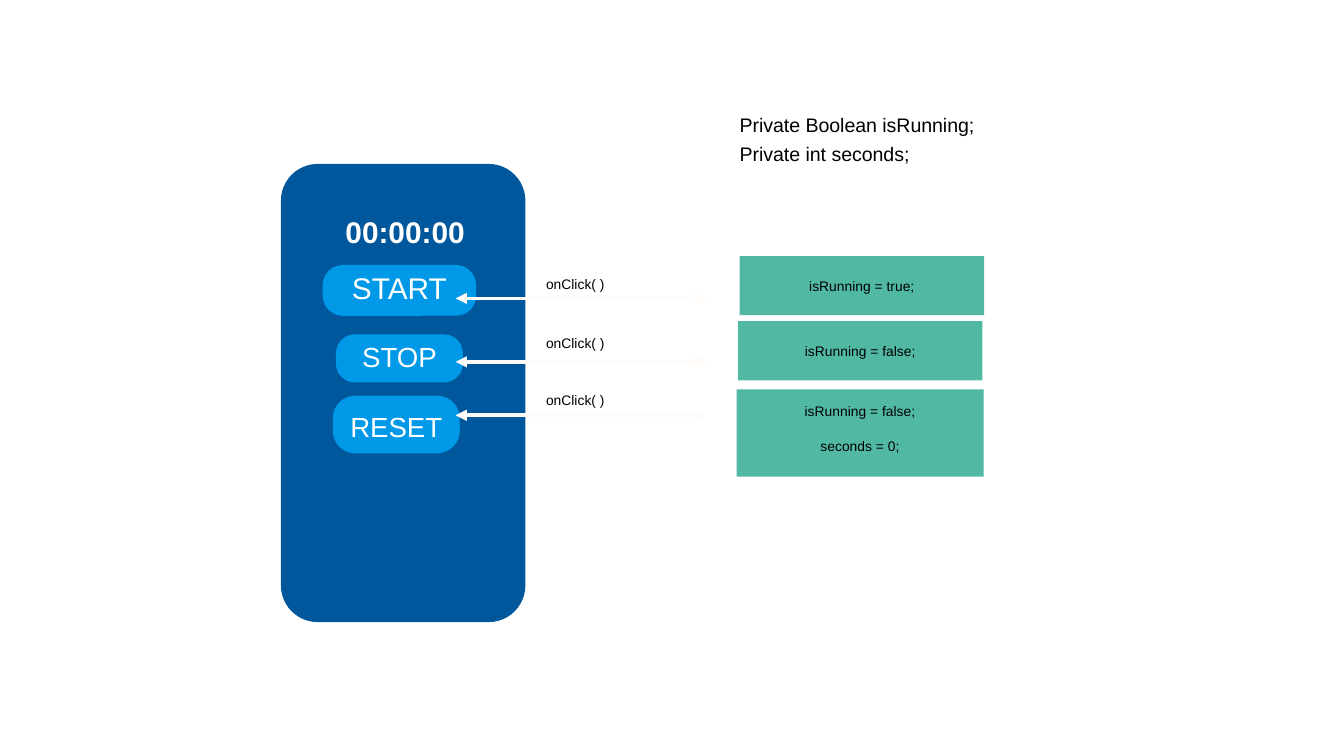
from lxml.etree import SubElement
from pptx import Presentation
from pptx.dml.color import RGBColor
from pptx.enum.shapes import MSO_CONNECTOR, MSO_SHAPE
from pptx.enum.text import MSO_ANCHOR, PP_ALIGN
from pptx.oxml.ns import qn
from pptx.util import Cm, Pt

FONT = "Arial"
NAVY, BLUE, GREEN = "01579B", "0099E8", "51B9A3"
WHITE, BLACK, CREAM = "FFFFFF", "000000", "FFFBF9"
INSET = 0.08
SMALL = 7.4


def color(hex_text):
    return RGBColor.from_string(hex_text)


def write(shape, text, size, ink, align=PP_ALIGN.LEFT, anchor=MSO_ANCHOR.MIDDLE,
          bold=False, wrap=True, spacing=None, gap=0):
    """Put text in a shape, one paragraph a line; gap is the points between them."""
    frame = shape.text_frame
    frame.margin_left = frame.margin_right = Cm(INSET)
    frame.margin_top = frame.margin_bottom = Cm(INSET)
    frame.word_wrap = wrap
    frame.vertical_anchor = anchor
    frame.text = text
    for index, para in enumerate(frame.paragraphs):
        para.alignment = align
        if spacing:
            para.line_spacing = spacing
        if index:
            para.space_before = Pt(gap)
        for span in para.runs:
            span.font.name = FONT
            span.font.size = Pt(size)
            span.font.bold = bold
            span.font.color.rgb = color(ink)


def add_block(shapes, kind, left, top, width, height, fill, rounding=None):
    block = shapes.add_shape(kind, Cm(left), Cm(top), Cm(width), Cm(height))
    block.shadow.inherit = False
    block.fill.solid()
    block.fill.fore_color.rgb = color(fill)
    block.line.fill.background()
    if rounding is not None:
        block.adjustments[0] = rounding
    return block


def add_label(shapes, left, top, width, height, text, size, ink, **style):
    box = shapes.add_textbox(Cm(left), Cm(top), Cm(width), Cm(height))
    write(box, text, size, ink, **style)


def add_button(shapes, left, top, width, height, text, size):
    button = add_block(shapes, MSO_SHAPE.ROUNDED_RECTANGLE, left, top, width, height,
                       BLUE, 0.394)
    write(button, text, size, WHITE, PP_ALIGN.CENTER, MSO_ANCHOR.BOTTOM, spacing=0.8)


def add_phone(page):
    phone = page.shapes.add_group_shape().shapes
    add_block(phone, MSO_SHAPE.ROUNDED_RECTANGLE, 5.31, 3.1, 4.62, 8.66, NAVY, 0.15)
    add_label(phone, 6.45, 3.96, 2.54, 0.84, "00:00:00", 16, WHITE, bold=True)
    add_button(phone, 6.1, 5.01, 2.9, 0.96, "START", 16)
    add_button(phone, 6.35, 6.32, 2.4, 0.91, "STOP", 14.8)
    add_button(phone, 6.29, 7.48, 2.4, 1.09, "RESET", 14.8)


def add_double_arrow(page, left, right, y):
    arrow = page.shapes.add_connector(MSO_CONNECTOR.STRAIGHT,
                                      Cm(left), Cm(y), Cm(right), Cm(y))
    arrow.line.color.rgb = color(CREAM)
    arrow.line.width = Pt(2)
    line = arrow.line._get_or_add_ln()
    SubElement(line, qn("a:headEnd"), type="triangle")
    SubElement(line, qn("a:tailEnd"), type="arrow")
    SubElement(arrow._element.spPr, qn("a:effectLst"))


def add_handler(page, arrow_y, label_y, left, top, width, height, code):
    """Draw a click arrow, its label and the box with the code it runs."""
    add_double_arrow(page, 8.61, 13.34, arrow_y)
    add_label(page.shapes, 10.24, label_y, 1.27, 0.46, "onClick( )", SMALL, BLACK,
              wrap=False)
    block = add_block(page.shapes, MSO_SHAPE.RECTANGLE, left, top, width, height, GREEN)
    write(block, code, SMALL, BLACK, PP_ALIGN.CENTER, gap=9.7)
    return block


def main():
    deck = Presentation()
    deck.slide_width, deck.slide_height = Cm(25.4), Cm(14.29)
    page = deck.slides.add_slide(deck.slide_layouts[6])

    add_phone(page)
    add_label(page.shapes, 13.9, 2.14, 6.76, 0.97,
              "Private Boolean isRunning;\nPrivate int seconds;", 10.5, BLACK, gap=3)
    add_handler(page, 5.64, 5.13, 13.98, 4.84, 4.62, 1.12, "isRunning = true;")
    add_handler(page, 6.84, 6.25, 13.95, 6.07, 4.62, 1.12, "isRunning = false;")
    reset = add_handler(page, 7.85, 7.34, 13.92, 7.36, 4.67, 1.65,
                        "isRunning = false;\nseconds = 0;")
    reset.text_frame.margin_bottom = Cm(0.25)

    deck.save("out.pptx")


if __name__ == "__main__":
    main()
